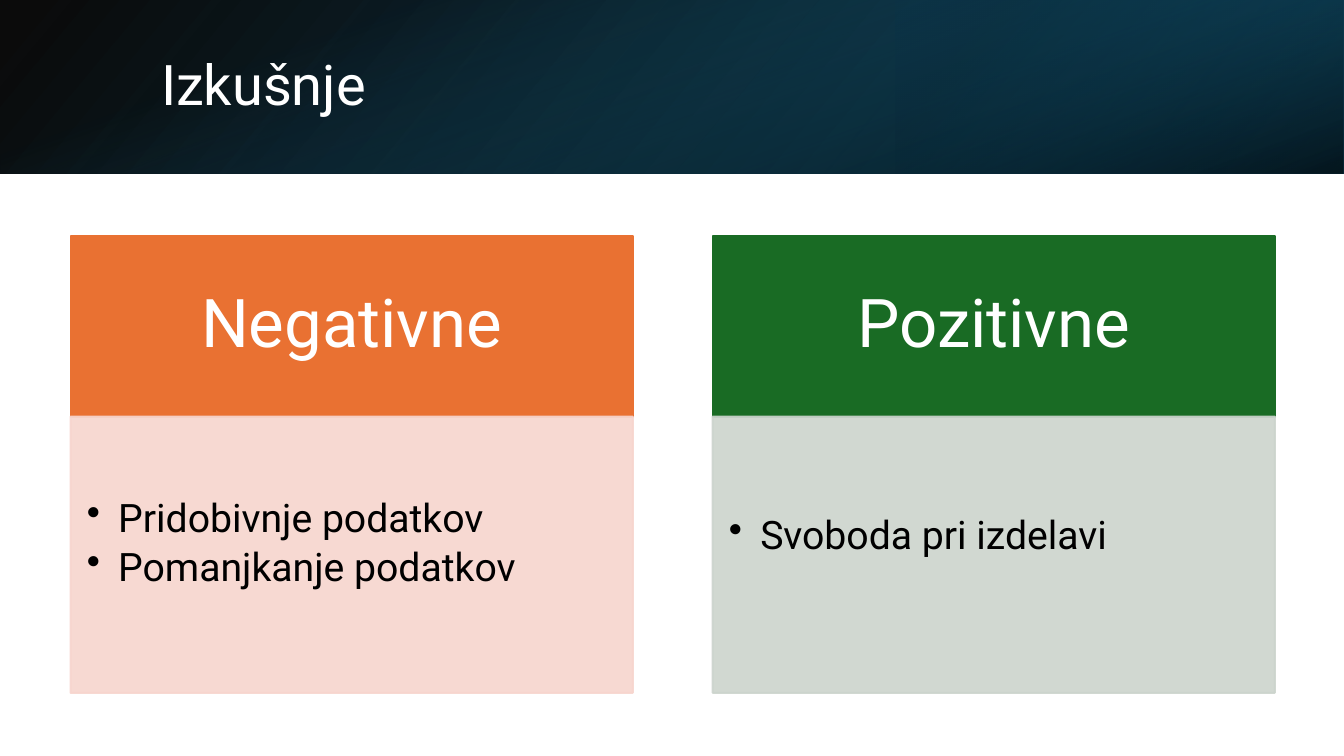
from dataclasses import dataclass

from lxml.etree import SubElement
from pptx import Presentation
from pptx.dml.color import RGBColor
from pptx.enum.shapes import MSO_SHAPE as Shape
from pptx.enum.text import MSO_ANCHOR as Anchor, PP_ALIGN as Align
from pptx.oxml.ns import qn
from pptx.util import Cm, Pt


@dataclass(frozen=True)
class Theme:
    font: str = "Roboto"
    white: str = "FFFFFF"
    black: str = "000000"
    navy: str = "104862"
    deep_teal: str = "0B3041"
    teal: str = "156082"
    orange: str = "E97132"
    pale_orange: str = "F7D5CE"
    green: str = "196B24"
    pale_green: str = "CCD4CD"
    title_size: int = 40
    heading_size: int = 48
    bullet_size: int = 28


class SlideBuilder:
    def __init__(self, slide, theme):
        self.slide = slide
        self.theme = theme

    def add_alpha(self, color_parent, percent):
        color = color_parent.find(".//" + qn("a:srgbClr"))
        SubElement(color, qn("a:alpha"), val=str(percent * 1000))

    def rectangle(self, left, top, width, height):
        box = self.slide.shapes.add_shape(
            Shape.RECTANGLE, Cm(left), Cm(top), Cm(width), Cm(height))
        box.shadow.inherit = False
        return box

    def gradient(self, frame, stops, angle, rotation=0, flip=False):
        """Stops are (position %, colour, opacity %)."""
        box = self.rectangle(*frame)
        box.line.fill.background()
        box.rotation = rotation
        properties = box.element.spPr
        if flip:
            properties.find(qn("a:xfrm")).set("flipH", "1")
        box.fill.gradient()
        fill = properties.find(qn("a:gradFill"))
        fill.set("rotWithShape", "1")
        stop_list = fill.find(qn("a:gsLst"))
        for old_stop in list(stop_list):
            stop_list.remove(old_stop)
        for position, color, opacity in stops:
            stop = SubElement(stop_list, qn("a:gs"), pos=str(position * 1000))
            SubElement(stop, qn("a:srgbClr"), val=color)
            self.add_alpha(stop, opacity)
        fill.find(qn("a:lin")).set("ang", str(angle * 60000))

    def panel(self, frame, color, opacity=100):
        box = self.rectangle(*frame)
        box.fill.solid()
        box.fill.fore_color.rgb = RGBColor.from_string(color)
        box.line.color.rgb = RGBColor.from_string(color)
        box.line.width = Pt(1.5)
        if opacity < 100:
            properties = box.element.spPr
            self.add_alpha(properties.find(qn("a:solidFill")), opacity)
            self.add_alpha(properties.find(qn("a:ln")), opacity)
        return box

    def set_text(self, box, lines, size, color, align=Align.LEFT,
                 anchor=Anchor.MIDDLE, insets=(0.25, 0.13, 0.25, 0.13)):
        frame = box.text_frame
        frame.word_wrap = True
        frame.vertical_anchor = anchor
        (frame.margin_left, frame.margin_top,
         frame.margin_right, frame.margin_bottom) = map(Cm, insets)
        frame.text = "\n".join(lines)
        for para in frame.paragraphs:
            para.alignment = align
            para.line_spacing = 0.9
            for span in para.runs:
                span.font.name = self.theme.font
                span.font.size = Pt(size)
                span.font.color.rgb = RGBColor.from_string(color)
        return frame.paragraphs

    def title(self, text, left, top, width, height):
        box = self.slide.shapes.add_textbox(
            Cm(left), Cm(top), Cm(width), Cm(height))
        self.set_text(box, [text], self.theme.title_size, self.theme.white)

    def heading(self, text, frame, color):
        self.set_text(self.panel(frame, color), [text],
                      self.theme.heading_size, self.theme.white, Align.CENTER,
                      insets=(0.94, 0.53, 0.94, 0.53))

    def bullets(self, lines, frame, color, top_inset):
        paragraphs = self.set_text(
            self.panel(frame, color, 90), lines, self.theme.bullet_size,
            self.theme.black, anchor=Anchor.TOP,
            insets=(0.41, top_inset, 0.56, 0.61))
        indent = Cm(0.79)
        for para in paragraphs:
            para.space_after = Pt(4.9)
            properties = para._p.get_or_add_pPr()
            properties.set("marL", str(indent))
            properties.set("indent", str(-indent))
            SubElement(properties, qn("a:buChar"), char="•")


def main():
    slide_width, header_height = 33.87, 4.37
    theme = Theme()
    deck = Presentation()
    deck.slide_width, deck.slide_height = Cm(slide_width), Cm(19.05)
    page = SlideBuilder(deck.slides.add_slide(deck.slide_layouts[6]), theme)

    # Header band: three layered gradients
    page.gradient((0, 0, slide_width, header_height),
                  [(0, theme.black, 96), (100, theme.navy, 100)],
                  140, flip=True)
    third = slide_width / 3
    page.gradient((2 * third, 0, third, header_height),
                  [(19, theme.deep_teal, 68), (100, theme.teal, 79)],
                  320, rotation=180, flip=True)
    offset = (slide_width - header_height) / 2
    page.gradient((offset, -offset, header_height, slide_width),
                  [(23, theme.teal, 0), (99, theme.black, 74)],
                  340, rotation=90)
    page.title("Izkušnje", 3.81, 0.97, 27.88, 2.44)

    # Two cards: heading above bullets
    cards = [
        ("Negativne", ["Pridobivnje podatkov", "Pomanjkanje podatkov"],
         theme.orange, theme.pale_orange, 2.06),
        ("Pozitivne", ["Svoboda pri izdelavi"],
         theme.green, theme.pale_green, 2.49),
    ]
    card_width, card_step = 14.17, 16.18
    for index, (name, lines, strong, pale, top_inset) in enumerate(cards):
        left = 1.78 + index * card_step
        page.heading(name, (left, 5.94, card_width, 4.56), strong)
        page.bullets(lines, (left, 10.5, card_width, 6.96), pale, top_inset)

    deck.save("out.pptx")


if __name__ == "__main__":
    main()
